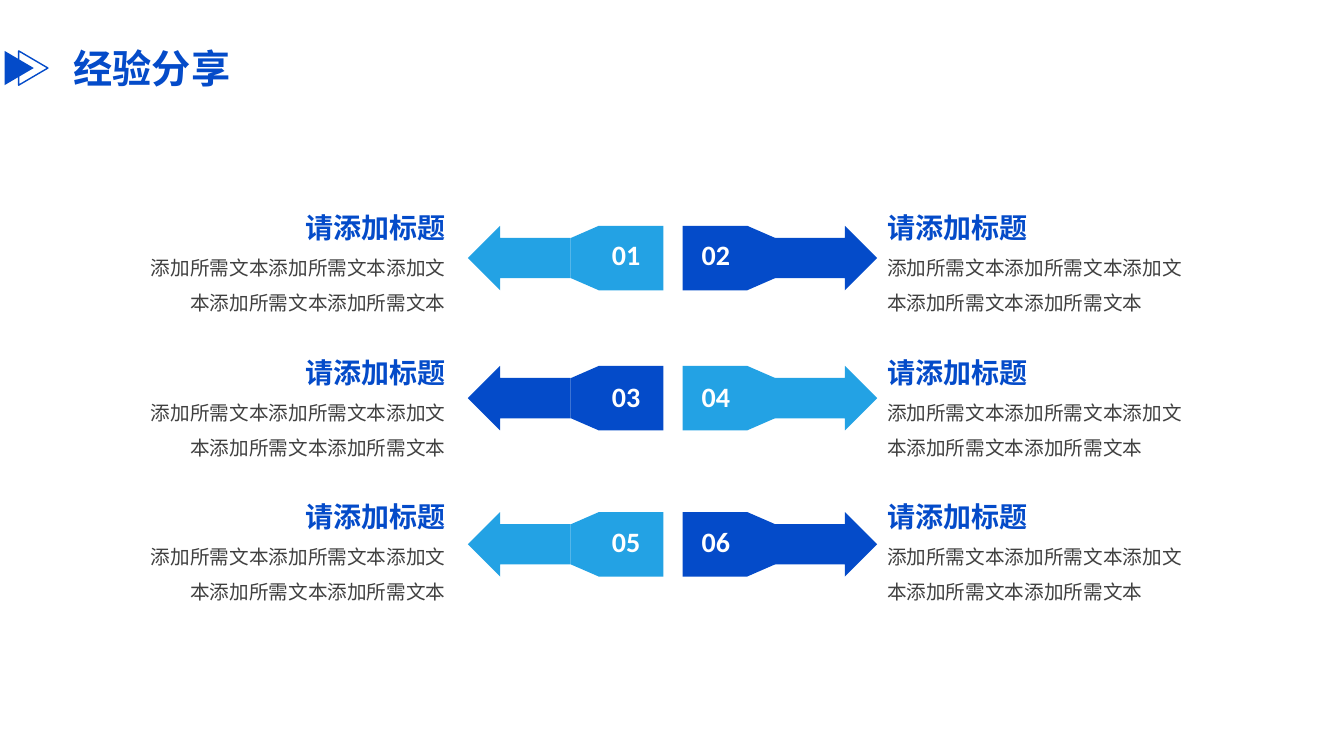
from dataclasses import dataclass

import pptx
import pptx.dml.color
import pptx.enum.shapes
import pptx.enum.text
import pptx.oxml
import pptx.oxml.ns
import pptx.shapes.autoshape
import pptx.slide
import pptx.text.text
import pptx.util

Inches = pptx.util.Inches
RGBColor = pptx.dml.color.RGBColor
Shape = pptx.enum.shapes.MSO_SHAPE
Align = pptx.enum.text.PP_ALIGN

BLUE = RGBColor(0x04, 0x4B, 0xC9)
SKY = RGBColor(0x23, 0xA2, 0xE4)
GREY = RGBColor(0x40, 0x40, 0x40)
WHITE = RGBColor(0xFF, 0xFF, 0xFF)
CHINESE_FONT = "Noto Sans CJK SC"
NUMBER_FONT = "Calibri"

HEADING = "请添加标题"
BODY = "添加所需文本添加所需文本添加文本添加所需文本添加所需文本"
SIZE = 0.64  # height of an arrow and side of its square
TAPER = 0.28  # length of the trapezoid between square and arrow


@dataclass(frozen=True)
class Side:
    """Horizontal layout of one column of arrows."""
    square: float
    taper: float
    arrow: float
    arrow_kind: Shape
    rotation: int
    number: float
    text: float
    alignment: Align


@dataclass(frozen=True)
class Row:
    """Vertical layout of one pair of arrows."""
    arrow: float
    number: float
    text: float


SIDES = [
    Side(5.94, 5.48, 4.64, Shape.LEFT_ARROW, 270, 5.97, 1.34, Align.RIGHT),
    Side(6.77, 7.23, 7.68, Shape.RIGHT_ARROW, 90, 6.86, 8.7, Align.LEFT),
]
ROWS = [Row(2.24, 2.31, 1.87), Row(3.63, 3.72, 3.31), Row(5.08, 5.15, 4.74)]


def add_solid(slide: pptx.slide.Slide, kind: Shape, left: float, top: float,
              width: float, height: float, color: RGBColor,
              rotation: int = 0) -> pptx.shapes.autoshape.Shape:
    shape = slide.shapes.add_shape(
        kind, Inches(left), Inches(top), Inches(width), Inches(height))
    shape.shadow.inherit = False
    shape.rotation = rotation
    shape.fill.solid()
    shape.fill.fore_color.rgb = color
    shape.line.fill.background()
    return shape


def format_paragraph(paragraph: pptx.text.text._Paragraph, size: int,
                     color: RGBColor, bold: bool, name: str = CHINESE_FONT,
                     alignment: Align = Align.LEFT) -> None:
    paragraph.alignment = alignment
    font = paragraph.font
    font.name = name
    font.size = pptx.util.Pt(size)
    font.bold = bold
    font.color.rgb = color
    # East Asian characters take their own typeface
    properties = paragraph._p.pPr.find(pptx.oxml.ns.qn("a:defRPr"))
    properties.append(pptx.oxml.parse_xml(
        f'<a:ea {pptx.oxml.ns.nsdecls("a")} typeface="{name}"/>'))


def add_text_frame(slide: pptx.slide.Slide, left: float, top: float,
                   width: float, height: float,
                   wrap: bool) -> pptx.text.text.TextFrame:
    box = slide.shapes.add_textbox(
        Inches(left), Inches(top), Inches(width), Inches(height))
    frame = box.text_frame
    frame.word_wrap = wrap
    frame.auto_size = pptx.enum.text.MSO_AUTO_SIZE.SHAPE_TO_FIT_TEXT
    return frame


def add_title(slide: pptx.slide.Slide, text: str) -> None:
    title = slide.shapes.title
    title.left, title.top = Inches(0.63), Inches(0.39)
    title.width, title.height = Inches(3.74), Inches(0.57)
    frame = title.text_frame
    frame.text = text
    frame.vertical_anchor = pptx.enum.text.MSO_ANCHOR.TOP
    frame.auto_size = pptx.enum.text.MSO_AUTO_SIZE.SHAPE_TO_FIT_TEXT
    format_paragraph(frame.paragraphs[0], 28, BLUE, True)


def add_arrow(slide: pptx.slide.Slide, side: Side, row: Row,
              color: RGBColor) -> None:
    add_solid(slide, Shape.RECTANGLE, side.square, row.arrow, SIZE, SIZE, color)
    taper = add_solid(slide, Shape.TRAPEZOID, side.taper,
                      row.arrow + (SIZE - TAPER) / 2, SIZE, TAPER, color,
                      side.rotation)
    taper.adjustments[0] = 0.435
    arrow = add_solid(slide, side.arrow_kind, side.arrow, row.arrow,
                      1.02, SIZE, color)
    arrow.adjustments[0] = 0.627
    arrow.adjustments[1] = 0.5


def add_number(slide: pptx.slide.Slide, side: Side, row: Row,
               number: int) -> None:
    frame = add_text_frame(slide, side.number, row.number, 0.51, 0.44, False)
    frame.text = f"{number:02d}"
    format_paragraph(frame.paragraphs[0], 20, WHITE, True, NUMBER_FONT)


def add_description(slide: pptx.slide.Slide, side: Side, row: Row) -> None:
    frame = add_text_frame(slide, side.text, row.text, 3.18, 1.31, True)
    frame.text = f"{HEADING}\n{BODY}"
    heading, body = frame.paragraphs
    format_paragraph(heading, 20, BLUE, True, alignment=side.alignment)
    format_paragraph(body, 14, GREY, False, alignment=side.alignment)
    for paragraph in frame.paragraphs:
        paragraph.line_spacing = 1.5


def main() -> None:
    presentation = pptx.Presentation()
    presentation.slide_width = Inches(13.33)
    presentation.slide_height = Inches(7.5)
    slide = presentation.slides.add_slide(presentation.slide_layouts[5])

    # Title with its two triangles
    add_solid(slide, Shape.ISOSCELES_TRIANGLE, 0.02, 0.53, 0.34, 0.29, BLUE, 90)
    outline = add_solid(slide, Shape.ISOSCELES_TRIANGLE,
                        0.16, 0.53, 0.34, 0.29, BLUE, 90)
    outline.fill.background()
    outline.line.color.rgb = BLUE
    outline.line.width = pptx.util.Pt(1)
    add_title(slide, "经验分享")

    # Numbered arrows, colours alternating like a chessboard
    for row_index, row in enumerate(ROWS):
        for side_index, side in enumerate(SIDES):
            color = BLUE if (row_index + side_index) % 2 else SKY
            add_arrow(slide, side, row, color)
            add_number(slide, side, row, row_index * len(SIDES) + side_index + 1)
            add_description(slide, side, row)

    presentation.save("out.pptx")


if __name__ == "__main__":
    main()
